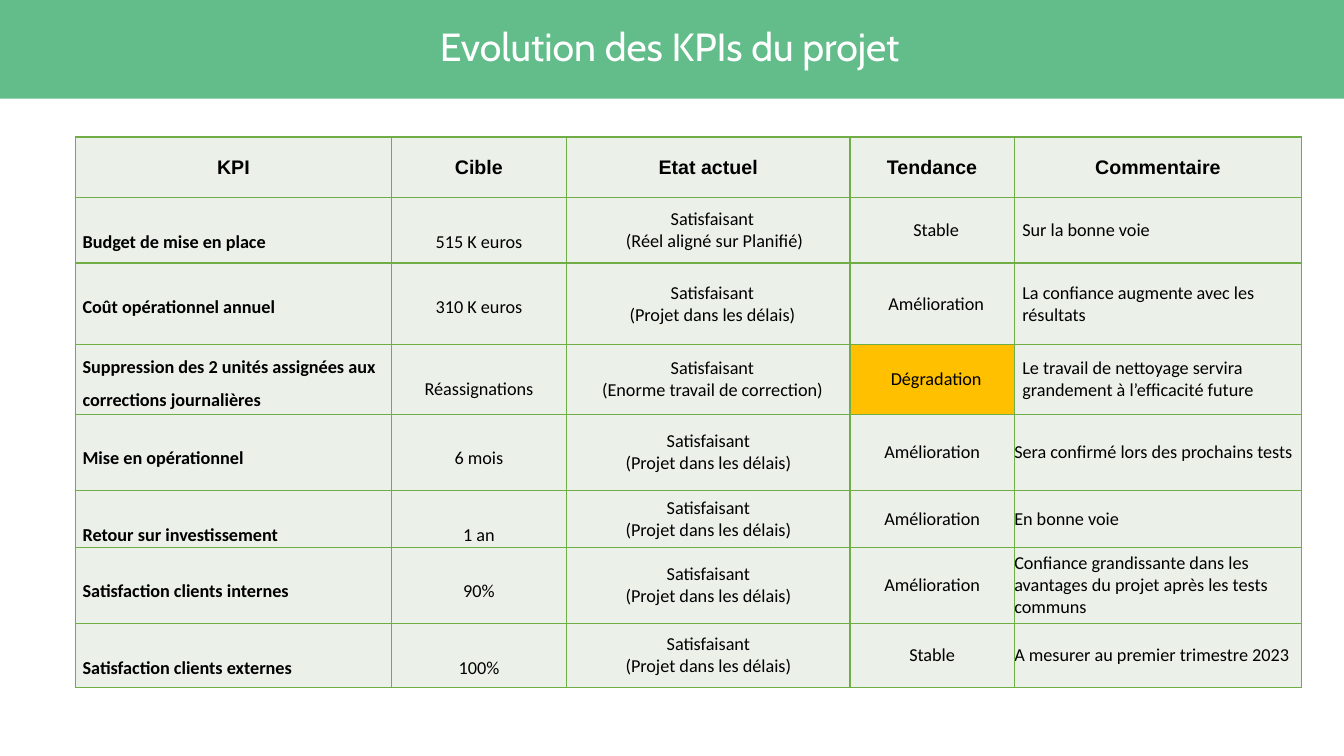
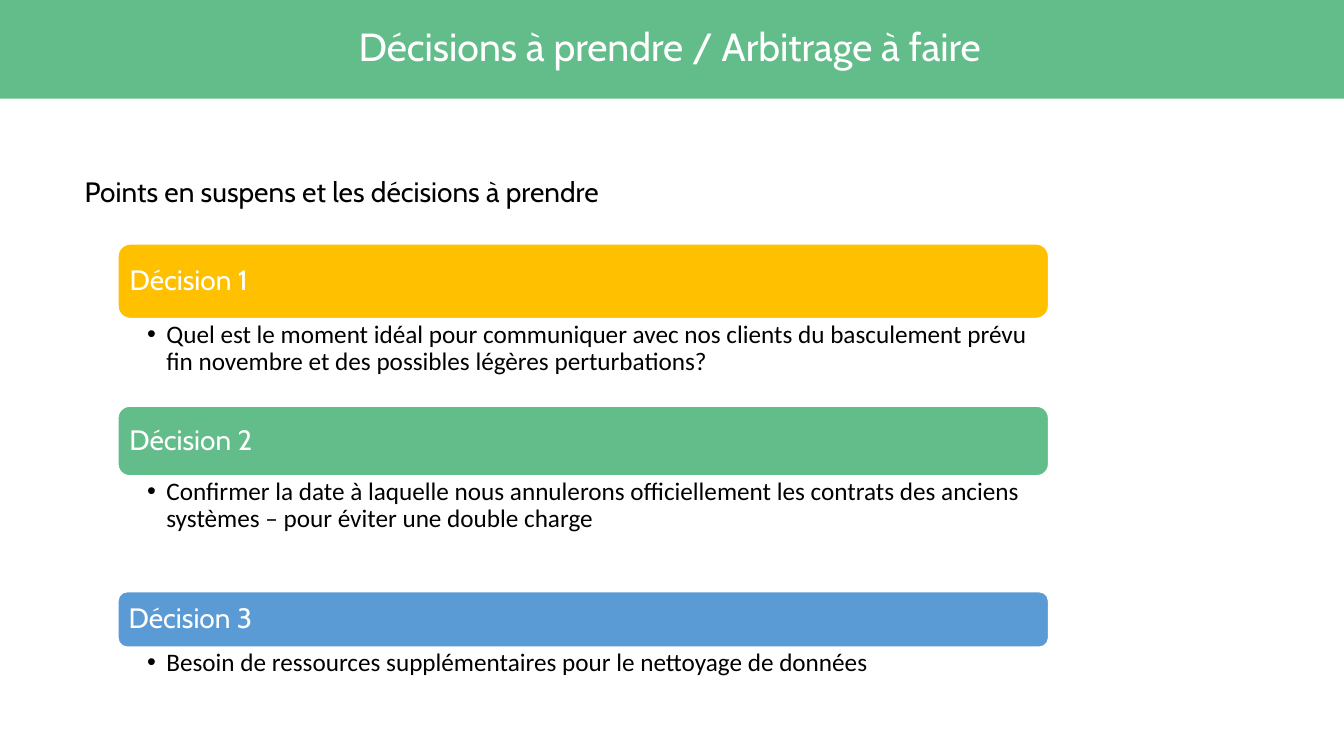
from lxml.etree import SubElement
from pptx import Presentation
from pptx.dml.color import RGBColor
from pptx.enum.shapes import MSO_SHAPE
from pptx.enum.text import MSO_ANCHOR, PP_ALIGN
from pptx.oxml import parse_xml
from pptx.oxml.ns import nsdecls, qn
from pptx.util import Inches, Pt

GREEN = RGBColor(0x62, 0xBD, 0x8A)
AMBER = RGBColor(0xFF, 0xC0, 0x00)
BLUE = RGBColor(0x5B, 0x9B, 0xD5)
WHITE = RGBColor(0xFF, 0xFF, 0xFF)
BLACK = RGBColor(0x00, 0x00, 0x00)
CELL_FILL = RGBColor(0xEB, 0xF1, 0xE9)
CELL_BORDER = RGBColor(0x70, 0xAD, 0x47)
HEADING_FONT, BODY_FONT, HEADER_FONT = "Cabin", "Calibri", "Arial"

COLUMN_WIDTHS = [3.13, 1.74, 2.81, 1.63, 2.85]
ROW_HEIGHTS = [0.6, 0.65, 0.81, 0.69, 0.76, 0.56, 0.76, 0.63]
HEADERS = ["KPI", "Cible", "Etat actuel", "Tendance", "Commentaire"]
ON_TIME = "Satisfaisant\n(Projet dans les délais)"
WORSE = "Dégradation"
LONG_KPI = "Suppression des 2 unités assignées aux corrections journalières"
KPIS = [
    ["Budget de mise en place", "515 K euros", "Satisfaisant\n (Réel aligné sur Planifié)",
     "Stable", "Sur la bonne voie"],
    ["Coût opérationnel annuel", "310 K euros", ON_TIME, "Amélioration",
     "La confiance augmente avec les résultats"],
    [LONG_KPI, "Réassignations", "Satisfaisant\n(Enorme travail de correction)", WORSE,
     "Le travail de nettoyage servira grandement à l’efficacité future"],
    ["Mise en opérationnel", "6 mois", ON_TIME, "Amélioration",
     "Sera confirmé lors des prochains tests"],
    ["Retour sur investissement", "1 an", ON_TIME, "Amélioration", "En bonne voie"],
    ["Satisfaction clients internes", "90%", ON_TIME, "Amélioration",
     "Confiance grandissante dans les avantages du projet après les tests communs"],
    ["Satisfaction clients externes", "100%", ON_TIME, "Stable",
     "A mesurer au premier trimestre 2023"],
]
DECISIONS = [
    ("Décision 1", AMBER, 2.42, 0.74,
     "Quel est le moment idéal pour communiquer avec nos clients du basculement prévu "
     "fin novembre et des possibles légères perturbations?"),
    ("Décision 2", GREEN, 4.03, 0.69,
     "Confirmer la date à laquelle nous annulerons officiellement les contrats des anciens "
     "systèmes – pour éviter une double charge"),
    ("Décision 3", BLUE, 5.87, 0.55,
     "Besoin de ressources supplémentaires pour le nettoyage de données"),
]


def style_text(frame, font, size, color, align=PP_ALIGN.LEFT, bold=False, spacing=1.0):
    """Format every paragraph and run of a text frame."""
    for paragraph in frame.paragraphs:
        paragraph.alignment = align
        paragraph.line_spacing = spacing
        for run in paragraph.runs:
            run.font.name = font
            run.font.size = Pt(size)
            run.font.bold = bold
            run.font.color.rgb = color


def set_margins(holder, left, top, right, bottom):
    """Set the inner margins of a text frame or table cell, in inches."""
    holder.margin_left, holder.margin_top = Inches(left), Inches(top)
    holder.margin_right, holder.margin_bottom = Inches(right), Inches(bottom)


def add_panel(slide, kind, left, top, width, height, color):
    """Add a flat filled shape without outline."""
    panel = slide.shapes.add_shape(
        kind, Inches(left), Inches(top), Inches(width), Inches(height))
    panel.shadow.inherit = False
    panel.fill.solid()
    panel.fill.fore_color.rgb = color
    panel.line.fill.background()
    return panel


def add_text(slide, left, top, width, height, text, anchor=MSO_ANCHOR.TOP):
    """Add a wrapping text box and return its text frame."""
    frame = slide.shapes.add_textbox(
        Inches(left), Inches(top), Inches(width), Inches(height)).text_frame
    frame.word_wrap = True
    frame.vertical_anchor = anchor
    frame.text = text
    return frame


def add_titled_slide(deck, title):
    """Add a blank slide with the green title band."""
    slide = deck.slides.add_slide(deck.slide_layouts[6])
    add_panel(slide, MSO_SHAPE.RECTANGLE, 0, 0, 13.36, 0.98, GREEN)
    heading = add_text(slide, 0.48, 0.22, 12.32, 0.53, title, MSO_ANCHOR.MIDDLE)
    style_text(heading, HEADING_FONT, 28, WHITE, PP_ALIGN.CENTER, spacing=0.9)
    return slide


def add_cell_borders(cell):
    """Draw a thin green line on the four sides of a cell."""
    properties = cell._tc.get_or_add_tcPr()
    for position, side in enumerate(("lnL", "lnR", "lnT", "lnB")):
        properties.insert(position, parse_xml(
            f'<a:{side} {nsdecls("a")} w="{Pt(1)}"><a:solidFill>'
            f'<a:srgbClr val="{CELL_BORDER}"/></a:solidFill></a:{side}>'))


def fill_cell(cell, text, row, column):
    """Write and format one cell according to its row and column."""
    cell.text_frame.text = text
    cell.fill.solid()
    cell.fill.fore_color.rgb = AMBER if text == WORSE else CELL_FILL
    add_cell_borders(cell)
    cell.vertical_anchor = MSO_ANCHOR.MIDDLE
    set_margins(cell, 0, 0, 0, 0)
    if row == 0:
        style_text(cell.text_frame, HEADER_FONT, 14, BLACK, PP_ALIGN.CENTER, True)
        return
    spacing = 1.0
    if column < 2:
        cell.vertical_anchor = MSO_ANCHOR.TOP
        set_margins(cell, 0.07, 0, 0.07, 0)
        spacing = 1.5 if text == LONG_KPI else 2.5
    elif row <= 3:
        cell.margin_left = Inches(0.08)
    align = PP_ALIGN.LEFT if column in (0, 4) else PP_ALIGN.CENTER
    style_text(cell.text_frame, BODY_FONT, 13, BLACK, align, column == 0, spacing)


def add_kpi_table(slide, left, top):
    """Place the KPI table with its top left corner at the given point."""
    rows = [HEADERS] + KPIS
    table = slide.shapes.add_table(
        len(rows), len(HEADERS), Inches(left), Inches(top),
        Inches(sum(COLUMN_WIDTHS)), Inches(sum(ROW_HEIGHTS))).table
    table.first_row = table.horz_banding = False
    for column, width in zip(table.columns, COLUMN_WIDTHS):
        column.width = Inches(width)
    for row, height in zip(table.rows, ROW_HEIGHTS):
        row.height = Inches(height)
    for r, texts in enumerate(rows):
        for c, text in enumerate(texts):
            fill_cell(table.cell(r, c), text, r, c)


def add_decision(slide, left, top, width, height, label, color, question):
    """Place a decision bar with its bulleted question underneath."""
    bar = add_panel(slide, MSO_SHAPE.ROUNDED_RECTANGLE, left, top, width, height, color)
    bar.line.color.rgb = WHITE
    bar.line.width = Pt(1)
    bar.text_frame.text = label
    bar.text_frame.vertical_anchor = MSO_ANCHOR.MIDDLE
    set_margins(bar.text_frame, 0.08, 0.08, 0.08, 0.08)
    style_text(bar.text_frame, HEADING_FONT, 20, WHITE, spacing=0.9)

    detail = add_text(slide, left, top + height, width, 0.87, question)
    set_margins(detail, 0.29, 0.03, 0.14, 0.03)
    style_text(detail, BODY_FONT, 18, BLACK, spacing=0.9)
    properties = detail.paragraphs[0]._p.get_or_add_pPr()
    properties.set("marL", str(Inches(0.19)))
    properties.set("indent", str(-Inches(0.19)))
    SubElement(properties, qn("a:buFont")).set("typeface", HEADER_FONT)
    SubElement(properties, qn("a:buChar")).set("char", "•")


def build_kpi_slide(deck):
    """Build the slide that tracks the project KPIs."""
    slide = add_titled_slide(deck, "Evolution des KPIs du projet")
    add_kpi_table(slide, 0.75, 1.36)


def build_decisions_slide(deck):
    """Build the slide that lists the pending decisions."""
    slide = add_titled_slide(deck, "Décisions à prendre / Arbitrage à faire")
    intro = add_text(slide, 0.74, 1.72, 11.68, 0.43,
                     "Points en suspens et les décisions à prendre")
    style_text(intro, HEADING_FONT, 20, BLACK, spacing=0.9)
    for label, color, top, height, question in DECISIONS:
        add_decision(slide, 1.17, top, 9.23, height, label, color, question)


def main():
    """Build and save the presentation."""
    deck = Presentation()
    deck.slide_width, deck.slide_height = Inches(13.33), Inches(7.5)
    build_kpi_slide(deck)
    build_decisions_slide(deck)
    deck.save("out.pptx")


if __name__ == "__main__":
    main()
